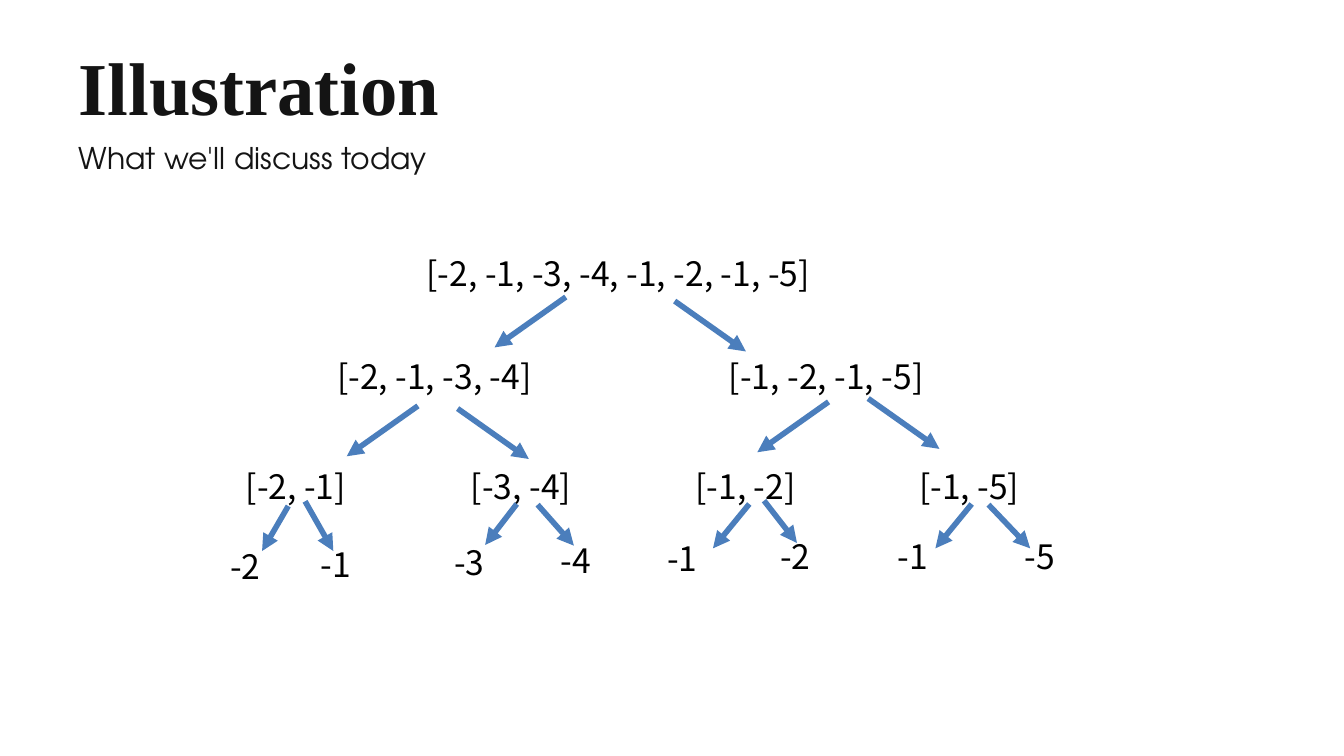
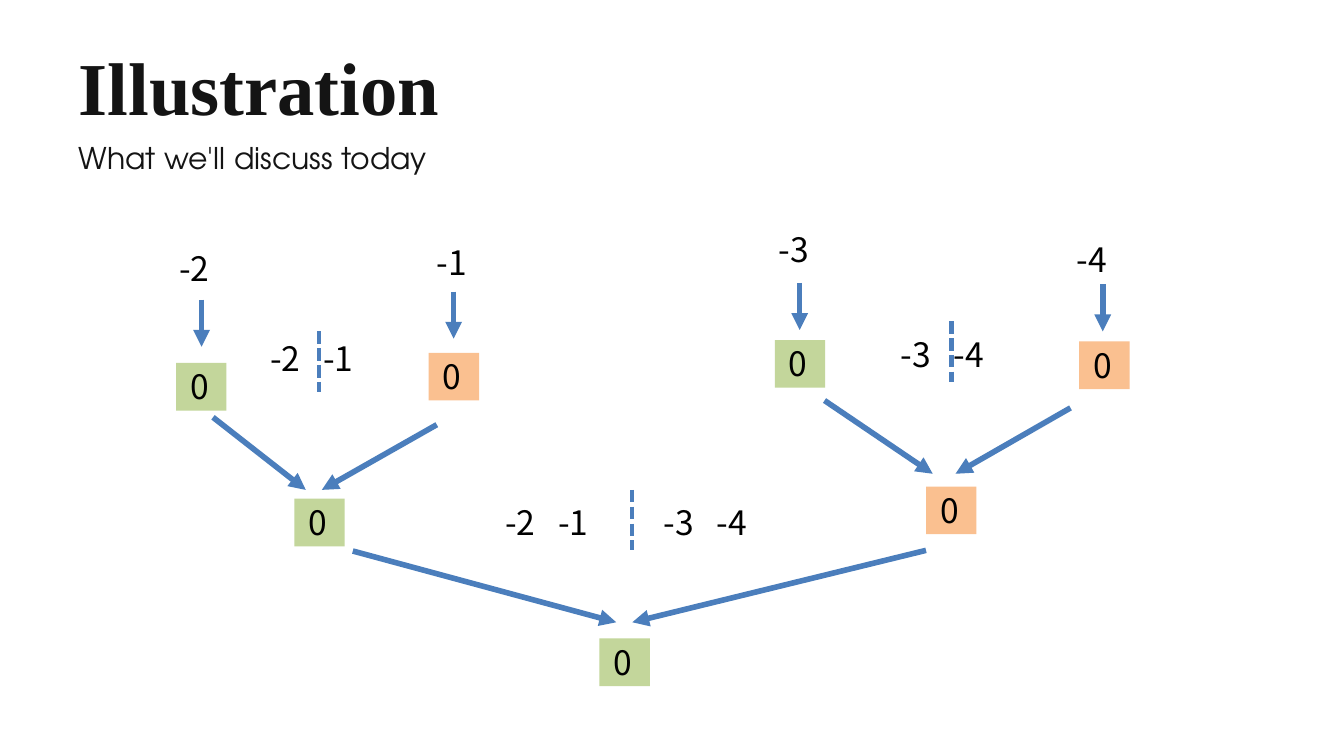
from lxml import etree
from pptx import Presentation
from pptx import util as u
from pptx.dml.color import RGBColor
from pptx.enum import dml, shapes, text
from pptx.oxml import ns

HEX = {"ink": "141414", "text": "000000", "line": "4B7EBC",
       "green": "C3D69B", "peach": "FAC090"}


class Deck:
    """Hold the deck's style and current slide, and draw each kind of element."""

    def __init__(self):
        self.prs = Presentation()
        self.prs.slide_width = u.Inches(20)
        self.prs.slide_height = u.Inches(11.25)
        self.slide = None

    def color(self, name):
        return RGBColor.from_string(HEX[name])

    def tag(self, parent, name, **attrs):
        return etree.SubElement(parent, ns.qn(name), attrs)

    def place(self, shape, left, top, width, height):
        shape.left, shape.top = u.Inches(left), u.Inches(top)
        shape.width, shape.height = u.Inches(width), u.Inches(height)

    def style(self, shape, words, font, size, color="text", bold=False):
        frame = shape.text_frame
        frame.text = words
        frame.word_wrap = True
        frame.auto_size = text.MSO_AUTO_SIZE.NONE
        frame.vertical_anchor = text.MSO_ANCHOR.TOP
        para = frame.paragraphs[0]
        para.alignment = text.PP_ALIGN.LEFT
        for run in para.runs:
            run.font.name = font
            run.font.size = u.Pt(size)
            run.font.bold = bold
            run.font.color.rgb = self.color(color)
        return para

    def head(self, holder, words, box, font, size, lead, bold=False):
        self.place(holder, *box)
        para = self.style(holder, words, font, size, "ink", bold)
        para.line_spacing = u.Pt(lead)
        para.space_before = u.Pt(0)
        frame = holder.text_frame
        frame.margin_left = frame.margin_right = 0
        frame.margin_top = frame.margin_bottom = 0
        return para

    def page(self, title, sub):
        self.slide = self.prs.slides.add_slide(self.prs.slide_layouts[1])
        top, body = self.slide.placeholders
        self.head(top, title, (1.17, 0.61, 6.77, 1.35),
                  "Times New Roman", 80, 96, True)
        para = self.head(body, sub, (1.17, 2.04, 6.77, 0.56),
                         "TeX Gyre Adventor", 32, 41.6)
        props = para._p.get_or_add_pPr()
        props.set("marL", "0")
        props.set("indent", "0")
        self.tag(props, "a:buNone")

    def label(self, words, left, top, width=1):
        box = self.slide.shapes.add_textbox(
            u.Inches(left), u.Inches(top), u.Inches(width), u.Inches(0.71))
        return self.style(box, words, "Noto Sans CJK SC", 36)

    def pair(self, first, second, left, top):
        para = self.label(f"{first}\t{second}", left, top, 1.75)
        tabs = self.tag(para._p.get_or_add_pPr(), "a:tabLst")
        self.tag(tabs, "a:tab", pos=str(u.Inches(0.79)), algn="l")

    def cell(self, words, fill, left, top):
        box = self.slide.shapes.add_shape(
            shapes.MSO_SHAPE.RECTANGLE, u.Inches(left), u.Inches(top),
            u.Inches(0.75), u.Inches(0.71))
        box.shadow.inherit = False
        box.fill.solid()
        box.fill.fore_color.rgb = self.color(fill)
        box.line.fill.background()
        self.style(box, words, "Noto Sans CJK SC", 36)
        box.text_frame.margin_left = u.Inches(0.21)

    def line(self, x1, y1, x2, y2, width):
        link = self.slide.shapes.add_connector(
            shapes.MSO_CONNECTOR.STRAIGHT,
            *(u.Inches(n) for n in (x1, y1, x2, y2)))
        link.line.color.rgb = self.color("line")
        link.line.width = u.Pt(width)
        self.tag(link._element.spPr, "a:effectLst")
        return link

    def arrow(self, x1, y1, x2, y2):
        link = self.line(x1, y1, x2, y2, 6)
        stroke = link._element.spPr.find(ns.qn("a:ln"))
        self.tag(stroke, "a:tailEnd", type="triangle")

    def split(self, left, top):
        link = self.line(left, top, left, top + 0.9, 4.5)
        link.line.dash_style = dml.MSO_LINE.SQUARE_DOT


def tree(deck):
    """Draw the list being halved down to single numbers."""
    nums = [-2, -1, -3, -4, -1, -2, -1, -5]
    rows = [
        (8, 7, [(6.25, 3.71)]),
        (4, 4, [(4.92, 5.25), (10.75, 5.25)]),
        (2, 2, [(3.56, 6.89), (6.91, 6.89), (10.25, 6.89), (13.58, 6.89)]),
    ]
    for size, width, spots in rows:
        for i, (left, top) in enumerate(spots):
            part = nums[i * size:(i + 1) * size]
            deck.label(str(part), left, top, width)
    leaves = [(3.33, 8.08), (4.67, 8.05), (6.66, 8.02), (8.25, 7.99),
              (9.83, 7.96), (11.51, 7.93), (13.26, 7.93), (15.15, 7.93)]
    for num, spot in zip(nums, leaves):
        deck.label(str(num), *spot)
    wide = [(8.42, 4.42, -1), (10.04, 4.48, 1), (6.22, 6.04, -1),
            (6.81, 6.08, 1), (12.33, 5.98, -1), (12.92, 5.93, 1)]
    for x, y, side in wide:
        deck.arrow(x, y, x + side * 1.06, y + 0.75)
    short = [(4.29, 7.53, 3.9, 8.2), (4.54, 7.46, 4.96, 8.2),
             (7.69, 7.5, 7.22, 8.11), (8, 7.51, 8.54, 8.12),
             (11.15, 7.5, 10.61, 8.16), (11.37, 7.45, 11.86, 8.08),
             (14.46, 7.5, 13.92, 8.16), (14.71, 7.51, 15.33, 8.16)]
    for ends in short:
        deck.arrow(*ends)


def merge(deck):
    """Draw the counts of the halves being joined."""
    leaves = [("-2", 2.57, 3.64), ("-1", 6.4, 3.55),
              ("-3", 11.49, 3.35), ("-4", 15.92, 3.51)]
    for leaf in leaves:
        deck.label(*leaf)
    for x, y in [(3, 4.46), (6.75, 4.34), (11.9, 4.21), (16.41, 4.23)]:
        deck.arrow(x, y, x, y + 0.7)
    pairs = [(-2, -1, 3.92, 4.98), (-3, -4, 13.3, 4.92),
             (-2, -1, 7.42, 7.42), (-3, -4, 9.78, 7.42)]
    for pair in pairs:
        deck.pair(*pair)
    for spot in [(4.75, 4.93), (14.16, 4.78), (9.41, 7.29)]:
        deck.split(*spot)
    cells = {
        "green": [(2.62, 5.4), (11.53, 5.06), (4.38, 7.42), (8.92, 9.5)],
        "peach": [(6.38, 5.25), (16.06, 5.08), (13.78, 7.24)],
    }
    for fill, spots in cells.items():
        for spot in spots:
            deck.cell("0", fill, *spot)
    joins = [(3.17, 6.21, 4.55, 7.29), (6.5, 6.32, 4.79, 7.29),
             (12.27, 5.96, 13.88, 7.05), (15.93, 6.07, 14.22, 7.05),
             (5.25, 8.2, 9.17, 9.26), (13.78, 8.19, 9.41, 9.26)]
    for ends in joins:
        deck.arrow(*ends)


def main():
    """Build both slides and save the deck."""
    deck = Deck()
    for draw in (tree, merge):
        deck.page("Illustration", "What we'll discuss today")
        draw(deck)
    deck.prs.save("out.pptx")


if __name__ == "__main__":
    main()
